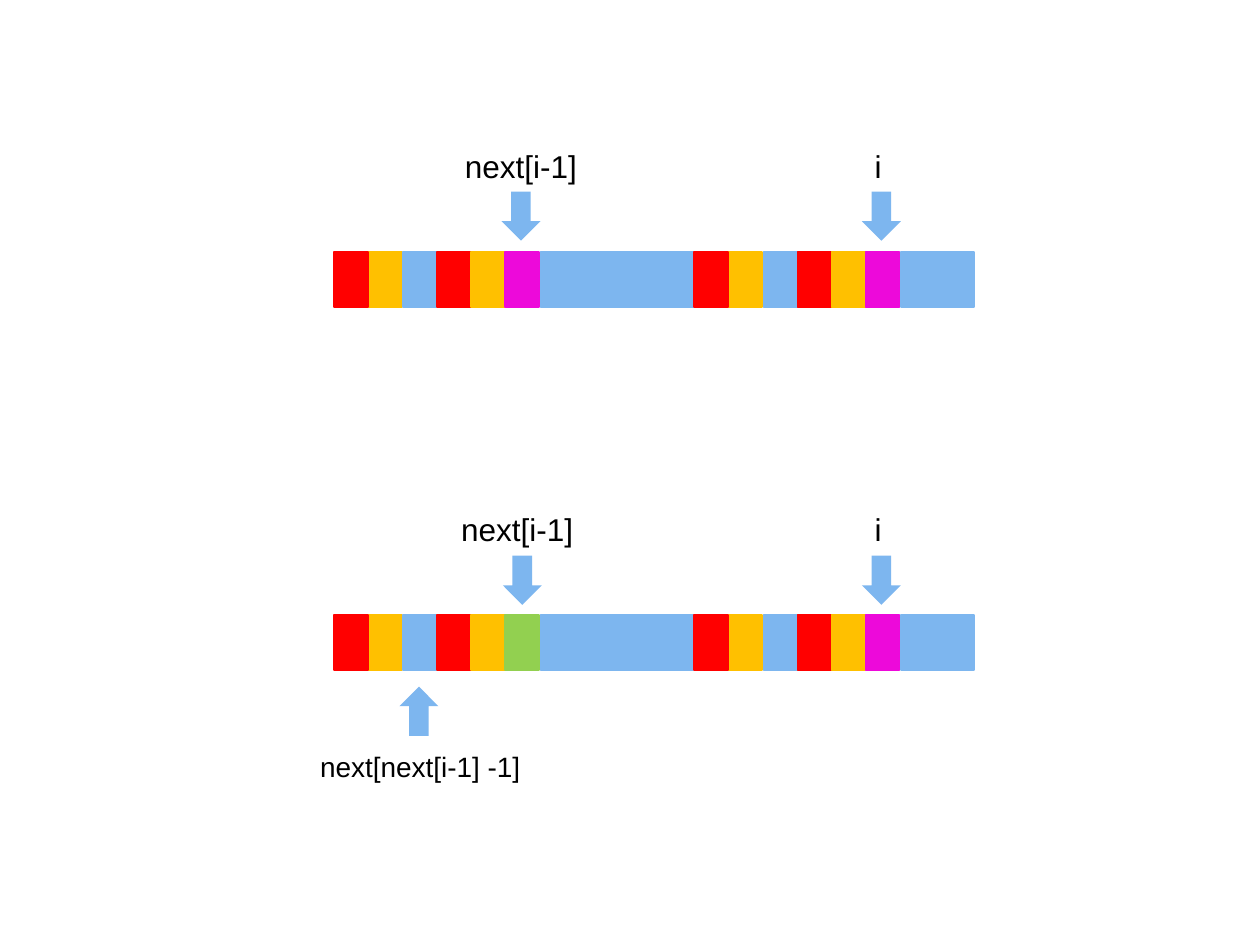
"""Draw two segmented bars that show how next[i] is found."""
from pptx import Presentation
from pptx.dml.color import RGBColor as RGB
from pptx.enum.shapes import MSO_SHAPE as Kind
from pptx.enum.text import MSO_ANCHOR as Anchor, MSO_AUTO_SIZE as Fit, PP_ALIGN as Align
from pptx.util import Pt

PX = 9144
HUES = {"blue": "7DB6EF", "red": "FF0000", "gold": "FFC000",
        "pink": "ED09DA", "green": "92D050", "black": "000000"}

deck = Presentation()
deck.slide_width, deck.slide_height = 1000 * PX, 750 * PX
slide = deck.slides.add_slide(deck.slide_layouts[6])


def block(kind, left, top, wide, high, hue, edge=True):
    shape = slide.shapes.add_shape(kind, left * PX, top * PX, wide * PX, high * PX)
    shape.shadow.inherit = False
    shape.fill.solid()
    shape.fill.fore_color.rgb = RGB.from_string(HUES[hue])
    if edge:
        shape.line.color.rgb = RGB.from_string(HUES[hue])
        shape.line.width = Pt(1)
    else:
        shape.line.fill.background()
    return shape


def label(text, left, top, wide, high, size):
    box = slide.shapes.add_textbox(left * PX, top * PX, wide * PX, high * PX)
    frame = box.text_frame
    frame.word_wrap = True
    frame.auto_size = Fit.SHAPE_TO_FIT_TEXT
    frame.vertical_anchor = Anchor.TOP
    para = frame.paragraphs[0]
    para.alignment = Align.CENTER
    run = para.add_run()
    run.text = text
    run.font.name = "Arial"
    run.font.size = Pt(size)
    run.font.color.rgb = RGB.from_string(HUES["black"])


CELLS = [(1, "gold"), (2, "blue"), (3, "red"), (0, "red"), (4, "gold")]
ROWS = [(200, 152, 398, 350, "pink"), (488, 441, 399, 347, "green")]

for top, tip, mark, name, last in ROWS:
    block(Kind.RECTANGLE, 429, top, 123, 44, "blue")
    block(Kind.RECTANGLE, 715, top, 58, 44, "blue")
    for left, end in [(265, last), (551, "pink")]:
        for spot, hue in CELLS + [(5, end)]:
            block(Kind.RECTANGLE, left + round(spot * 27.3), top, 27, 44, hue)
    for left in (mark, 684):
        block(Kind.DOWN_ARROW, left, tip, 31, 39, "blue", edge=False)
    label("next[i-1]", name, top - 88, 127, 40, 18)
    label("i", 674, top - 88, 46, 40, 18)

back = block(Kind.DOWN_ARROW, 317, 545, 31, 39, "blue", edge=False)
back.rotation = 180
label("next[next[i-1] -1]", 229, 590, 209, 37, 16)

deck.save("out.pptx")
